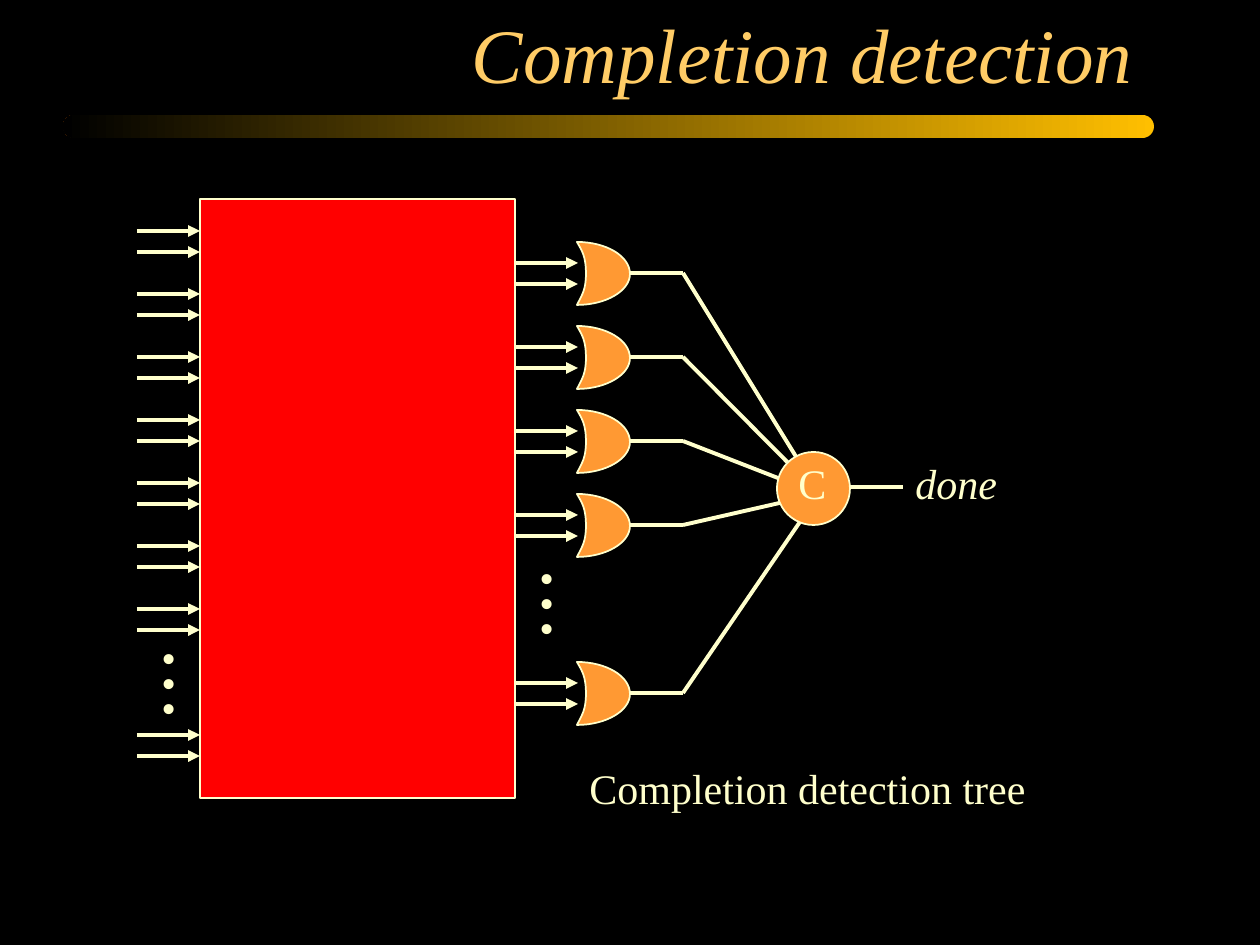
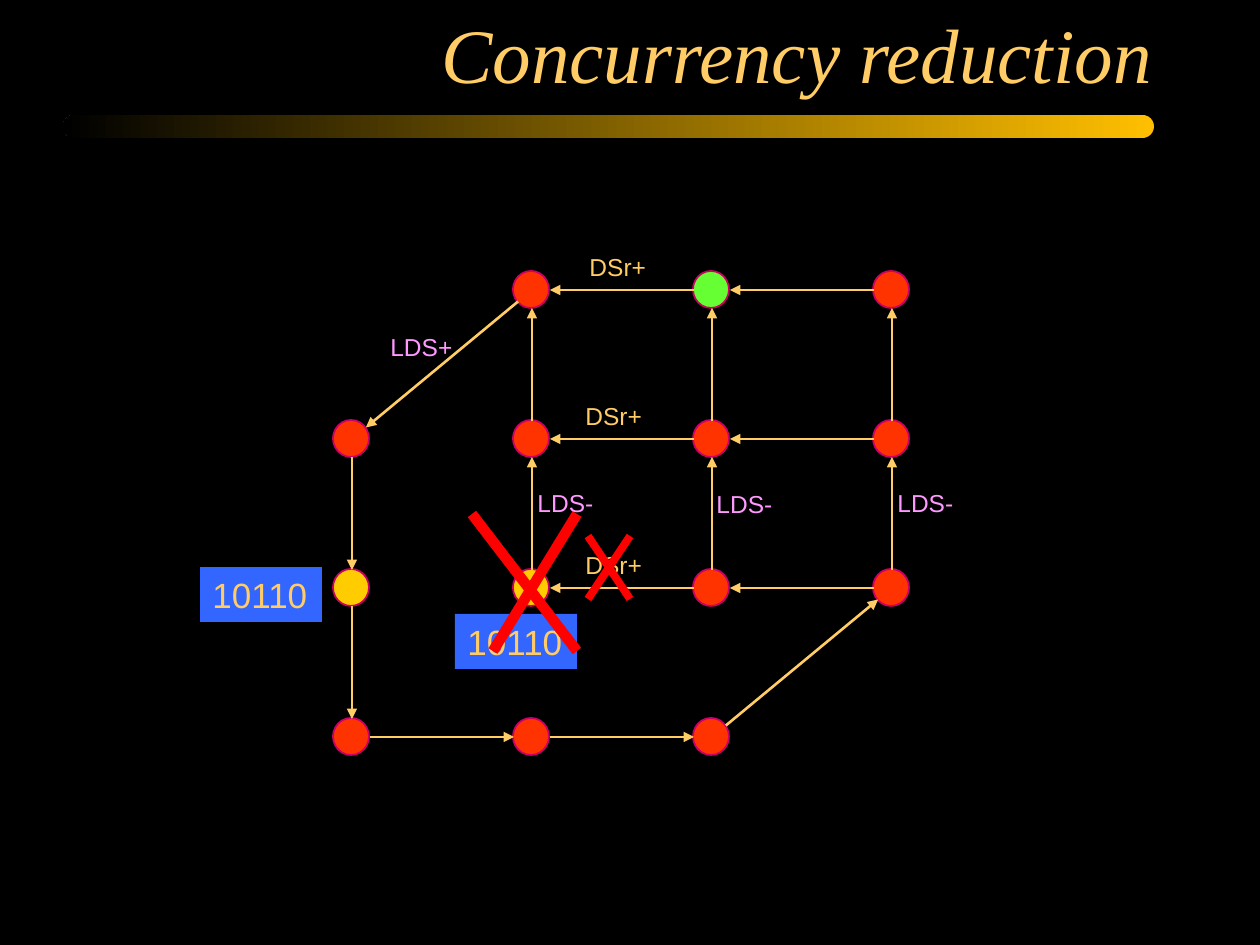
from collections import namedtuple
from math import hypot

from lxml.etree import SubElement
from pptx import Presentation
from pptx.dml.color import RGBColor
from pptx.enum.shapes import MSO_CONNECTOR as Link, MSO_SHAPE as Form
from pptx.enum.text import MSO_ANCHOR as Anchor, MSO_AUTO_SIZE as Fit, PP_ALIGN as Align
from pptx.oxml.ns import qn
from pptx.util import Pt

SCALE = 914400 / 126
Box = namedtuple("Box", "left top width height")
PAGE = Box(0, 0, 1260, 945)

COLORS = {
    "black": "000000", "amber": "FFBF00", "gold": "FFCC66", "cream": "FFFFCC",
    "block": "FF0000", "gate": "FF9933", "state": "FF3300", "green": "66FF33",
    "yellow": "FFCC00", "rim": "CC0066", "pink": "FF99FF", "code": "3366FF",
}
TITLE = {"name": "Times New Roman", "size": Pt(44), "italic": True}
BODY = {"name": "Times New Roman", "size": Pt(24)}
DONE = {**BODY, "italic": True}
LABEL = {"name": "Arial", "size": Pt(14)}
CODE = {"name": "Arial", "size": Pt(20)}
GATE_CURVES = [
    (5, 9), (9, 14), (9, 32),
    (9, 48), (5, 53), (0, 63),
    (29, 63), (53, 49), (53, 32),
    (53, 14), (29, 0), (0, 0),
]


def px(length):
    """Turn pixels into EMU."""
    return round(length * SCALE)


def color(name):
    """Look up a colour by name."""
    return RGBColor.from_string(COLORS[name])


def within(box, left, top, width=0, height=0):
    """Return a box placed relative to another one."""
    return Box(box.left + left, box.top + top, width, height)


def apply(target, values):
    """Set attributes from a dict."""
    for key, value in values.items():
        setattr(target, key, value)


def paint(shape, fill, line=None):
    """Give a shape a plain fill and an optional 1 pt outline."""
    shape.shadow.inherit = False
    shape.fill.solid()
    shape.fill.fore_color.rgb = color(fill)
    if line:
        shape.line.color.rgb = color(line)
        shape.line.width = Pt(1)
    else:
        shape.line.fill.background()


def add_form(slide, form, box, fill, line=None):
    """Add a painted preset shape."""
    shape = slide.shapes.add_shape(form, *map(px, box))
    paint(shape, fill, line)
    return shape


def write(shape, lines, font, tint, frame=None, para_format=None):
    """Write styled paragraphs into a shape."""
    text = shape.text_frame
    apply(text, {"word_wrap": False, "vertical_anchor": Anchor.TOP,
                 "auto_size": Fit.SHAPE_TO_FIT_TEXT, **(frame or {})})
    for index, line in enumerate(lines):
        para = text.add_paragraph() if index else text.paragraphs[0]
        apply(para, {"alignment": Align.LEFT, **(para_format or {})})
        span = para.add_run()
        span.text = line
        apply(span.font, font)
        span.font.color.rgb = color(tint)


def add_text(slide, box, lines, font, tint, **formats):
    """Add a text box."""
    write(slide.shapes.add_textbox(*map(px, box)), lines, font, tint, **formats)


def add_line(slide, start, end, tint, width, arrow=False):
    """Add a straight line, with an arrowhead at its end if asked."""
    line = slide.shapes.add_connector(Link.STRAIGHT, *map(px, (*start, *end)))
    line.line.color.rgb = color(tint)
    line.line.width = Pt(width)
    properties = line.element.spPr
    if arrow:
        SubElement(properties.find(qn("a:ln")), qn("a:tailEnd"), type="triangle")
    SubElement(properties, qn("a:effectLst"))


def add_slide(deck, title):
    """Add a black slide with the title and the fading band."""
    slide = deck.slides.add_slide(deck.slide_layouts[6])
    slide.background.fill.solid()
    slide.background.fill.fore_color.rgb = color("black")
    band = add_form(slide, Form.ROUNDED_RECTANGLE, within(PAGE, 63, 115, 1091, 23), "amber")
    band.adjustments[0] = 0.5
    band.fill.gradient()
    band.fill.gradient_angle = 180
    for stop, name in zip(band.fill.gradient_stops, ("amber", "black")):
        stop.color.rgb = color(name)
    add_text(slide, within(PAGE, 94, 10, 1071, 95), [title], TITLE, "gold",
             frame={"word_wrap": True, "vertical_anchor": Anchor.BOTTOM,
                    "auto_size": Fit.NONE},
             para_format={"alignment": Align.RIGHT})
    return slide


def add_arrow_pair(slide, box):
    """Draw arrows along the top and bottom of a box."""
    right = box.left + box.width
    for y in (box.top, box.top + box.height):
        add_line(slide, (box.left, y), (right, y), "cream", 2.25, arrow=True)


def add_dots(slide, box):
    """Stack three dots that stand for omitted signals."""
    add_text(slide, box, ["•"] * 3, BODY, "cream", para_format={"line_spacing": 0.5})


def bend(shape):
    """Turn each three straight segments of a freeform into one cubic curve."""
    segments = list(shape.element.iter(qn("a:lnTo")))
    for first, second, third in zip(segments[::3], segments[1::3], segments[2::3]):
        outline = first.getparent()
        curve = outline.makeelement(qn("a:cubicBezTo"))
        first.addprevious(curve)
        for segment in (first, second, third):
            curve.append(segment[0])
            outline.remove(segment)


def add_or_gate(slide, box):
    """Draw an OR gate."""
    points = [(px(box.left + x), px(box.top + y)) for x, y in GATE_CURVES]
    builder = slide.shapes.build_freeform(px(box.left), px(box.top))
    builder.add_line_segments(points, close=True)
    gate = builder.convert_to_shape()
    bend(gate)
    paint(gate, "gate", "cream")


def draw_circuit(slide, box):
    """Draw the logic block with its input and output signals."""
    add_form(slide, Form.RECTANGLE, within(box, 63, 0, 315, 599), "block", "cream")
    for row in (*range(7), 8):
        add_arrow_pair(slide, within(box, 0, 32 + 63 * row, 63, 21))
    add_dots(slide, within(box, 12, 448, 39, 88))
    for row in (*range(4), 5):
        add_arrow_pair(slide, within(box, 378, 64 + 84 * row, 63, 21))
    add_dots(slide, within(box, 390, 368, 39, 88))


def draw_tree(slide, box):
    """Draw the OR gates that join in one C element."""
    joint = within(box, 242, 252)[:2]
    for row in (*range(4), 5):
        gate = within(box, 0, 84 * row, 53, 63)
        elbow = within(gate, 106, 31)[:2]
        add_line(slide, within(gate, 53, 31)[:2], elbow, "cream", 2.25)
        add_line(slide, elbow, joint, "cream", 2.25)
        add_or_gate(slide, gate)
    add_form(slide, Form.OVAL, within(box, 200, 210, 73, 73), "gate", "cream")
    add_line(slide, within(box, 273, 245)[:2], within(box, 326, 245)[:2], "cream", 2.25)
    for text, place, font in (
        ("C", (209, 209, 53, 63), BODY),
        ("done", (326, 209, 107, 63), DONE),
        ("Completion detection tree", (0, 514, 461, 63), BODY),
    ):
        add_text(slide, within(box, *place), [text], font, "cream")


def draw_states(slide, box):
    """Draw the state graph on a grid of four columns and rows."""
    fills = {(2, 0): "green", (0, 2): "yellow", (1, 2): "yellow"}
    missing = {(0, 0), (3, 3)}
    nodes = {(col, row): within(box, 153 + 180 * col, 44 + 149 * row)
             for row in range(4) for col in range(4) if (col, row) not in missing}
    for cell, center in nodes.items():
        add_form(slide, Form.OVAL, within(center, -19, -19, 36, 37),
                 fills.get(cell, "state"), "rim")

    leftward = [((col, row), (col - 1, row)) for row in range(3) for col in (3, 2)]
    upward = [((col, row), (col, row - 1)) for col in (1, 2, 3) for row in (2, 1)]
    outer = [(1, 0), (0, 1), (0, 2), (0, 3), (1, 3), (2, 3), (3, 2)]
    for source, target in leftward + upward + list(zip(outer, outer[1:])):
        start, end = nodes[source], nodes[target]
        run, rise = end.left - start.left, end.top - start.top
        reach = 18 / hypot(run, rise)
        dx, dy = run * reach, rise * reach
        width = 1 if source[1] == target[1] == 1 else 1.5
        add_line(slide, within(start, dx, dy)[:2], within(end, -dx, -dy)[:2],
                 "gold", width, arrow=True)


def draw_labels(slide, box):
    """Label the transitions and the two codes, and cross out the removed state."""
    for left, top in ((1, 321), (256, 368)):
        code = add_form(slide, Form.RECTANGLE, within(box, left, top, 122, 55), "code")
        write(code, ["10110"], CODE, "gold")
    add_cross(slide, within(box, 273, 268, 105, 137), 6, foot=21)
    for text, left, top, width, tint in (
        ("LDS-", 326, 236, 81, "pink"), ("LDS-", 505, 237, 81, "pink"),
        ("LDS-", 686, 236, 81, "pink"), ("LDS+", 179, 80, 87, "pink"),
        ("DSr+", 378, 0, 82, "gold"), ("DSr+", 374, 149, 82, "gold"),
        ("DSr+", 374, 298, 82, "gold"),
    ):
        add_text(slide, within(box, left, top, width, 43), [text], LABEL, tint)
    add_cross(slide, within(box, 389, 290, 42, 63), 4.5)


def add_cross(slide, box, width, foot=0):
    """Cross out a box, with the lower left end moved in by foot."""
    right, bottom = box.left + box.width, box.top + box.height
    add_line(slide, (box.left, box.top), (right, bottom), "block", width)
    add_line(slide, (right, box.top), (box.left + foot, bottom), "block", width)


def main():
    """Build the deck."""
    deck = Presentation()
    apply(deck, {"slide_width": px(PAGE.width), "slide_height": px(PAGE.height)})

    detection = add_slide(deck, "Completion detection ")
    draw_circuit(detection, Box(137, 199, 441, 599))
    draw_tree(detection, Box(577, 242, 461, 577))

    reduction = add_slide(deck, "Concurrency reduction")
    graph = Box(199, 246, 771, 510)
    draw_states(reduction, graph)
    draw_labels(reduction, graph)
    deck.save("out.pptx")


if __name__ == "__main__":
    main()
